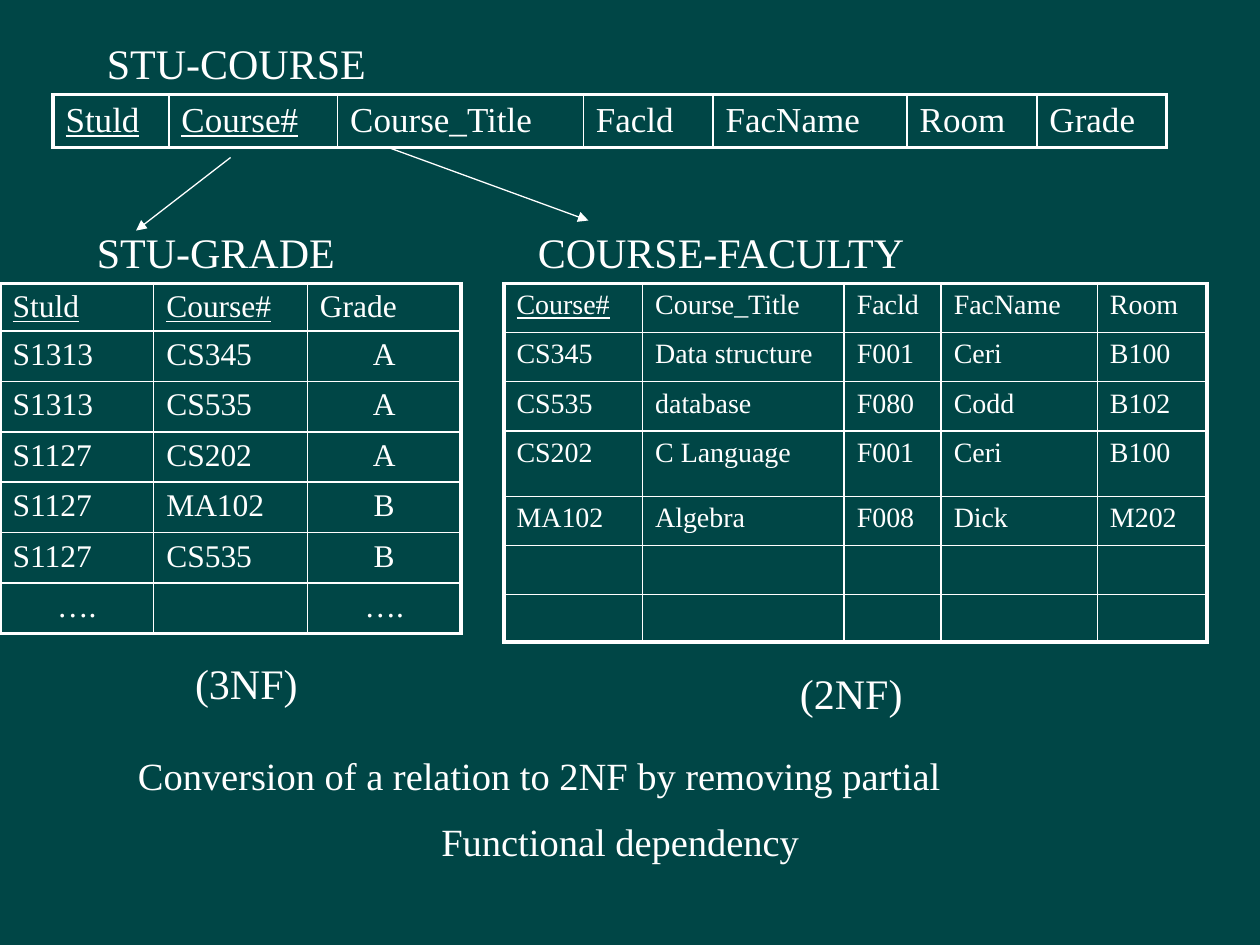
from dataclasses import dataclass

from lxml.etree import SubElement
from pptx import Presentation
from pptx.dml.color import RGBColor
from pptx.enum.shapes import MSO_CONNECTOR
from pptx.enum.text import MSO_AUTO_SIZE, PP_ALIGN
from pptx.oxml.ns import qn
from pptx.slide import Slide
from pptx.table import _Cell
from pptx.text.text import _Paragraph
from pptx.util import Inches, Pt

COLORS = {"background": "004646", "foreground": "FFFFFF"}
FONT = "Times New Roman"
OUTER_BORDER = 2.25
INNER_BORDER = 1
EMPTY_CELL_SIZE = 18
FRAME_SIZE = 3.28


@dataclass
class Relation:
    left: float
    top: float
    size: int
    widths: list[float]
    heights: list[float]
    rows: list[list[str]]
    keys: tuple[str, ...]
    centered: tuple[str, ...] = ()


@dataclass
class Label:
    lines: list[str]
    left: float
    top: float
    width: float
    height: float = 0.5
    size: int = 24
    alignments: tuple[PP_ALIGN, ...] = (PP_ALIGN.LEFT,)
    space_before: float = 0


@dataclass
class Arrow:
    start: tuple[float, float]
    end: tuple[float, float]


RELATIONS = [
    Relation(
        0.42, 0.75, 20, [0.92, 1.34, 1.95, 1.03, 1.54, 1.03, 1.03], [0.42],
        [["Stuld", "Course#", "Course_Title", "Facld", "FacName", "Room", "Grade"]],
        keys=("Stuld", "Course#"),
    ),
    Relation(
        0, 2.25, 18, [1.22] * 3, [0.15] + [0.4] * 6,
        [
            ["Stuld", "Course#", "Grade"],
            ["S1313", "CS345", "A"],
            ["S1313", "CS535", "A"],
            ["S1127", "CS202", "A"],
            ["S1127", "MA102", "B"],
            ["S1127", "CS535", "B"],
            ["….", "", "…."],
        ],
        keys=("Stuld", "Course#"),
        centered=("A", "B", "…."),
    ),
    Relation(
        4, 2.25, 16, [1.1, 1.6, 0.77, 1.24, 0.87],
        [0.39, 0.39, 0.39, 0.52, 0.39, 0.39, 0.28],
        [
            ["Course#", "Course_Title", "Facld", "FacName", "Room"],
            ["CS345", "Data structure", "F001", "Ceri", "B100"],
            ["CS535", "database", "F080", "Codd", "B102"],
            ["CS202", "C Language", "F001", "Ceri", "B100"],
            ["MA102", "Algebra", "F008", "Dick", "M202"],
            [""] * 5,
            [""] * 5,
        ],
        keys=("Course#",),
    ),
]

LABELS = [
    Label(["STU-COURSE"], 0.75, 0.25, 2.83),
    Label(["STU-GRADE"], 0.67, 1.75, 2.42),
    Label(["COURSE-FACULTY"], 4.17, 1.75, 4.75),
    Label(["(3NF)"], 1.08, 5.17, 1.75, alignments=(PP_ALIGN.CENTER,)),
    Label(["(2NF)"], 6.25, 5.25, 1.33),
    Label(
        [" Conversion of a relation to 2NF by removing partial", "Functional dependency "],
        0.92, 5.92, 8.08, 1.02, 22, (PP_ALIGN.LEFT, PP_ALIGN.CENTER), 11,
    ),
]

ARROWS = [Arrow((1.83, 1.25), (1.08, 1.83)), Arrow((3.08, 1.17), (4.67, 1.75))]


def color(name: str) -> RGBColor:
    return RGBColor.from_string(COLORS[name])


def add_run(paragraph: _Paragraph, text: str, size: int, underline: bool = False) -> None:
    run = paragraph.add_run()
    run.text = text
    run.font.name = FONT
    run.font.size = Pt(size)
    run.font.underline = underline
    run.font.color.rgb = color("foreground")


def set_empty_font(paragraph: _Paragraph) -> None:
    properties = SubElement(paragraph._p, qn("a:endParaRPr"), sz=str(EMPTY_CELL_SIZE * 100))
    SubElement(properties, qn("a:latin"), typeface=FONT)


def set_borders(cell: _Cell, outer_sides: dict[str, bool]) -> None:
    properties = cell._tc.get_or_add_tcPr()
    for side, is_outer in outer_sides.items():
        width = Pt(OUTER_BORDER if is_outer else INNER_BORDER)
        border = SubElement(properties, qn(f"a:ln{side}"), w=str(width))
        fill = SubElement(border, qn("a:solidFill"))
        SubElement(fill, qn("a:srgbClr"), val=COLORS["foreground"])


def add_relation(slide: Slide, relation: Relation) -> None:
    row_count, column_count = len(relation.heights), len(relation.widths)
    shape = slide.shapes.add_table(
        row_count, column_count, Inches(relation.left), Inches(relation.top),
        Inches(FRAME_SIZE), Inches(FRAME_SIZE),
    )
    table = shape.table
    table.first_row = False
    table.horz_banding = False
    for column, width in zip(table.columns, relation.widths):
        column.width = Inches(width)
    for row, height in zip(table.rows, relation.heights):
        row.height = Inches(height)
    shape.width = shape.height = Inches(FRAME_SIZE)
    for row_index, values in enumerate(relation.rows):
        for column_index, value in enumerate(values):
            cell = table.cell(row_index, column_index)
            set_borders(cell, {
                "L": column_index == 0,
                "R": column_index == column_count - 1,
                "T": row_index == 0,
                "B": row_index == row_count - 1,
            })
            cell.fill.background()
            paragraph = cell.text_frame.paragraphs[0]
            if value in relation.centered:
                paragraph.alignment = PP_ALIGN.CENTER
            if value:
                add_run(paragraph, value, relation.size, value in relation.keys)
            else:
                set_empty_font(paragraph)


def add_label(slide: Slide, label: Label) -> None:
    shape = slide.shapes.add_textbox(
        Inches(label.left), Inches(label.top), Inches(label.width), Inches(label.height)
    )
    frame = shape.text_frame
    frame.word_wrap = True
    frame.auto_size = MSO_AUTO_SIZE.SHAPE_TO_FIT_TEXT
    for index, (line, alignment) in enumerate(zip(label.lines, label.alignments)):
        paragraph = frame.add_paragraph() if index else frame.paragraphs[0]
        paragraph.alignment = alignment
        if index:
            paragraph.space_before = Pt(label.space_before)
        add_run(paragraph, line, label.size)


def add_arrow(slide: Slide, arrow: Arrow) -> None:
    connector = slide.shapes.add_connector(
        MSO_CONNECTOR.STRAIGHT, *(Inches(value) for value in arrow.start + arrow.end)
    )
    connector.line.color.rgb = color("foreground")
    connector.line.width = Pt(0.75)
    SubElement(connector.line._get_or_add_ln(), qn("a:tailEnd"), type="triangle")
    SubElement(connector._element.spPr, qn("a:effectLst"))


def main() -> None:
    presentation = Presentation()
    presentation.slide_width = Inches(10)
    presentation.slide_height = Inches(7.5)
    slide = presentation.slides.add_slide(presentation.slide_layouts[6])
    slide.background.fill.solid()
    slide.background.fill.fore_color.rgb = color("background")
    for relation in RELATIONS:
        add_relation(slide, relation)
    for label in LABELS:
        add_label(slide, label)
    for arrow in ARROWS:
        add_arrow(slide, arrow)
    presentation.save("out.pptx")


if __name__ == "__main__":
    main()
